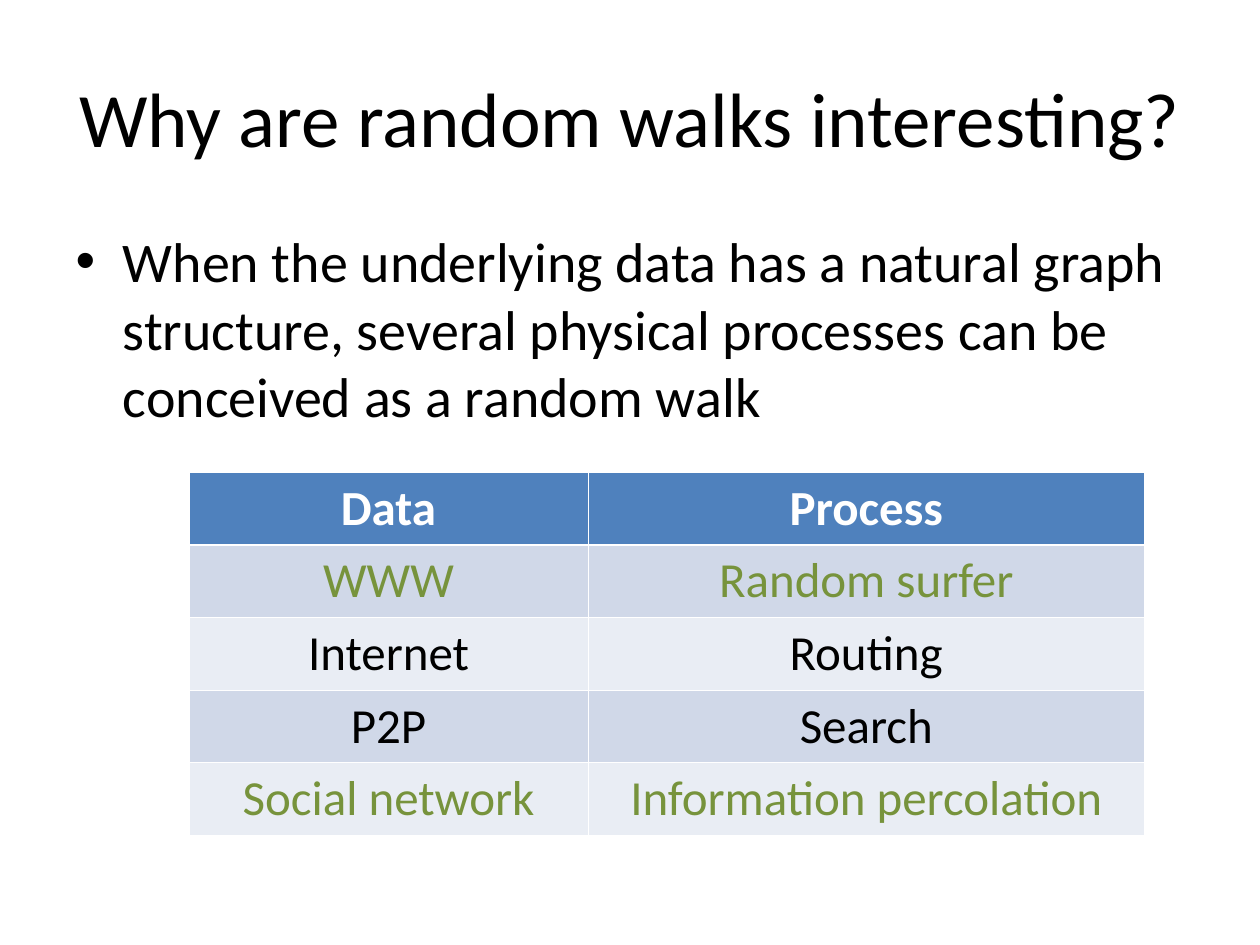
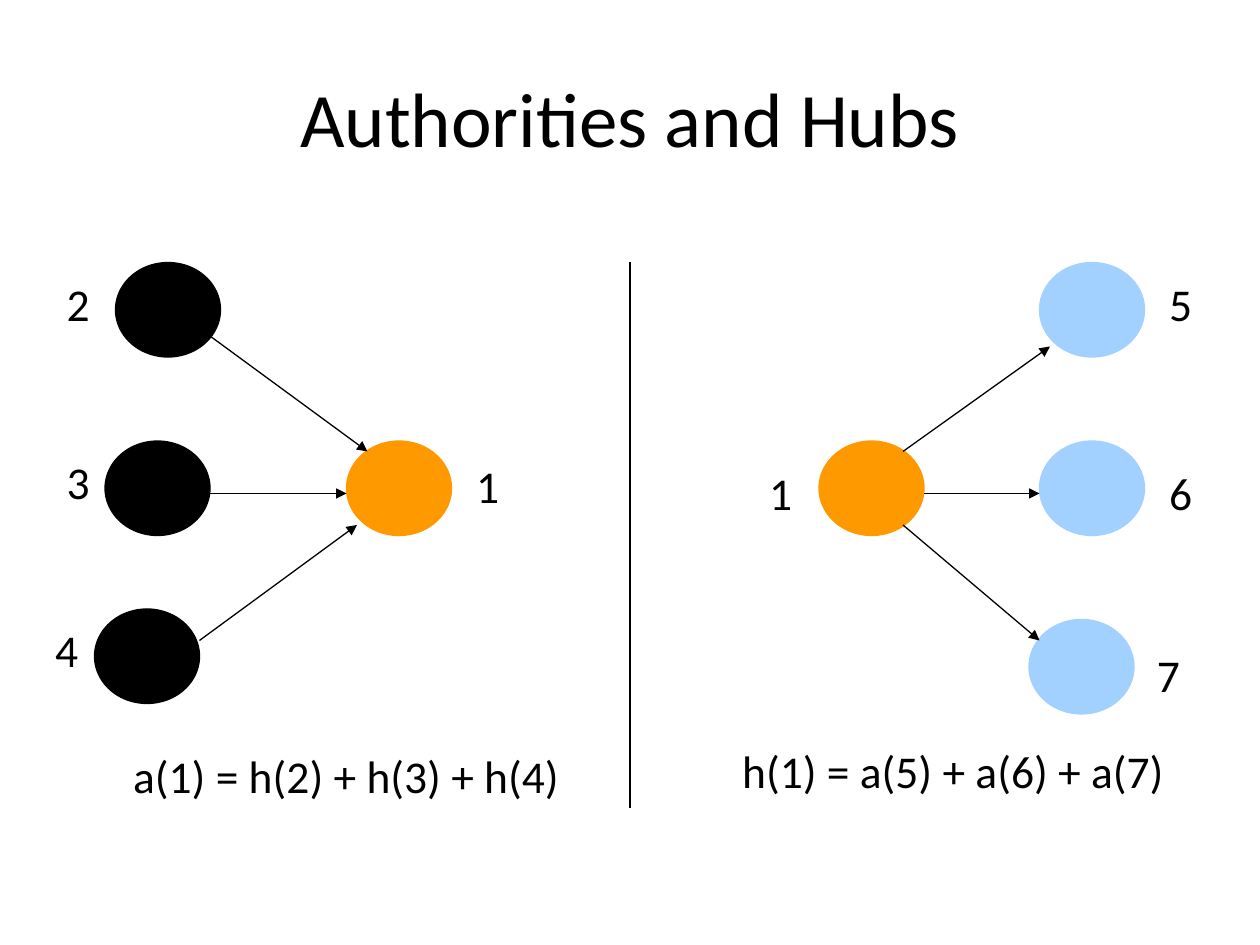
import dataclasses

import pptx
import pptx.dml.color
import pptx.enum.shapes
import pptx.enum.text
import pptx.oxml.ns
import pptx.util
from lxml import etree

Pt = pptx.util.Pt
Align = pptx.enum.text.PP_ALIGN
Anchor = pptx.enum.text.MSO_ANCHOR


@dataclasses.dataclass(frozen=True)
class Theme:
    font: str = "Calibri"
    ink: str = "000000"
    white: str = "FFFFFF"
    header: str = "4F81BD"
    bands: tuple = ("D0D8E8", "E9EDF4")
    accent: str = "77933C"
    centre_node: str = "FF9900"
    target_node: str = "A3D1FF"
    title_size: float = 44
    body_size: float = 32
    table_size: float = 28
    label_size: float = 26
    line_width: float = 0.75
    cell_line: float = 0.45
    header_line: float = 1.47


def rgb(value):
    return pptx.dml.color.RGBColor.from_string(value)


def add_xml(parent, tag, **attributes):
    return etree.SubElement(parent, pptx.oxml.ns.qn(tag), attributes)


class SlideBuilder:
    node_size = (60, 54)
    label_box = (27.5, 39)

    def __init__(self, deck, theme):
        self.deck = deck
        self.theme = theme
        self.page = None

    def new_page(self, title, layout):
        self.page = self.deck.slides.add_slide(self.deck.slide_layouts[layout])
        self.page.background.fill.solid()
        self.page.background.fill.fore_color.rgb = rgb(self.theme.white)
        box = self.page.shapes.title
        self.place(box, 36, 21.6, 648, 90)
        box.text_frame.text = title
        box.text_frame.vertical_anchor = Anchor.MIDDLE
        self.format_text(box.text_frame, self.theme.title_size, align=Align.CENTER)

    def place(self, box, left, top, width, height):
        box.left, box.top = Pt(left), Pt(top)
        box.width, box.height = Pt(width), Pt(height)

    def format_text(self, frame, size, color=None, bold=False, align=Align.LEFT):
        for para in frame.paragraphs:
            para.alignment = align
            para.space_before = Pt(0)
            for span in para.runs:
                span.font.name = self.theme.font
                span.font.size = Pt(size)
                span.font.bold = bold
                span.font.color.rgb = rgb(color or self.theme.ink)

    def body(self, text):
        box = self.page.placeholders[1]
        self.place(box, 36, 126, 648, 356.4)
        box.text_frame.text = text
        self.format_text(box.text_frame, self.theme.body_size)

    def table(self, left, top, widths, row_height, rows, accent_rows):
        theme = self.theme
        frame = self.page.shapes.add_table(
            len(rows), len(widths), Pt(left), Pt(top),
            Pt(sum(widths)), Pt(row_height * len(rows)))
        grid = frame.table
        grid.first_row = grid.horz_banding = False
        for column, width in zip(grid.columns, widths):
            column.width = Pt(width)
        for index, texts in enumerate(rows):
            header = index == 0
            fill = theme.header if header else theme.bands[(index - 1) % 2]
            color = theme.ink
            if header:
                color = theme.white
            elif index in accent_rows:
                color = theme.accent
            for column, text in enumerate(texts):
                cell = grid.cell(index, column)
                cell.text_frame.text = text
                self.format_text(cell.text_frame, theme.table_size, color,
                                 header, Align.CENTER)
                self.cell_borders(cell, index)
                cell.fill.solid()
                cell.fill.fore_color.rgb = rgb(fill)

    def cell_borders(self, cell, row):
        properties = cell._tc.get_or_add_tcPr()
        for side in "LRTB":
            thick = (row, side) in ((0, "B"), (1, "T"))
            width = self.theme.header_line if thick else self.theme.cell_line
            line = add_xml(properties, f"a:ln{side}", w=str(int(Pt(width))))
            add_xml(add_xml(line, "a:solidFill"), "a:srgbClr", val=self.theme.white)

    def node(self, left, top, color):
        width, height = self.node_size
        shape = self.page.shapes.add_shape(
            pptx.enum.shapes.MSO_SHAPE.OVAL, Pt(left), Pt(top), Pt(width), Pt(height))
        shape.shadow.inherit = False
        shape.fill.solid()
        shape.fill.fore_color.rgb = rgb(color)
        shape.line.color.rgb = rgb(color)
        shape.line.width = Pt(self.theme.line_width)

    def line(self, start, end, arrow=False):
        connector = self.page.shapes.add_connector(
            pptx.enum.shapes.MSO_CONNECTOR.STRAIGHT,
            *(Pt(value) for value in (*start, *end)))
        connector.line.color.rgb = rgb(self.theme.ink)
        connector.line.width = Pt(self.theme.line_width)
        if arrow:
            add_xml(connector.line._get_or_add_ln(), "a:tailEnd", type="triangle")
        add_xml(connector._element.spPr, "a:effectLst")

    def label(self, text, left, top, width=label_box[0]):
        box = self.page.shapes.add_textbox(
            Pt(left), Pt(top), Pt(width), Pt(self.label_box[1]))
        box.text_frame.text = text
        box.text_frame.word_wrap = False
        box.text_frame.auto_size = pptx.enum.text.MSO_AUTO_SIZE.SHAPE_TO_FIT_TEXT
        self.format_text(box.text_frame, self.theme.label_size)


def build_processes(builder):
    builder.new_page("Why are random walks interesting?", 1)
    builder.body("When the underlying data has a natural graph structure, "
                 "several physical processes can be conceived as a random walk")
    rows = [
        ("Data", "Process"),
        ("WWW", "Random surfer"),
        ("Internet", "Routing"),
        ("P2P", "Search"),
        ("Social network", "Information percolation"),
    ]
    builder.table(108, 270, (228, 318), 40.8, rows, accent_rows=(1, 4))


def build_hubs(builder):
    theme = builder.theme
    builder.new_page("Authorities and Hubs", 5)
    nodes = [
        ("4", theme.ink, (54, 348), (24.5, 352)),
        ("3", theme.ink, (60, 252), (31, 256)),
        ("2", theme.ink, (66, 150), (31, 154)),
        ("7", theme.target_node, (588, 354), (654, 366)),
        ("5", theme.target_node, (594, 150), (661, 154)),
        ("6", theme.target_node, (594, 252), (661, 262)),
        ("1", theme.centre_node, (468, 252), (432.5, 262)),
        ("1", theme.centre_node, (198, 252), (265, 258)),
    ]
    for name, color, node_corner, label_corner in nodes:
        builder.node(*node_corner, color)
        builder.label(name, *label_corner)
    arrows = [
        ((120, 192), (210, 258)),
        ((120, 282), (198, 282)),
        ((114, 366), (204, 300)),
        ((516, 258), (600, 198)),
        ((528, 282), (594, 282)),
        ((516, 300), (594, 366)),
    ]
    for start, end in arrows:
        builder.line(start, end, arrow=True)
    builder.label("a(1) = h(2) + h(3) + h(4)", 69, 424, 258)
    builder.label("h(1) = a(5) + a(6) + a(7)", 417, 421, 255.5)
    builder.line((360, 150), (360, 462))


def main():
    deck = pptx.Presentation()
    deck.slide_width, deck.slide_height = Pt(720), Pt(540)
    builder = SlideBuilder(deck, Theme())
    build_processes(builder)
    build_hubs(builder)
    deck.save("out.pptx")


if __name__ == "__main__":
    main()
